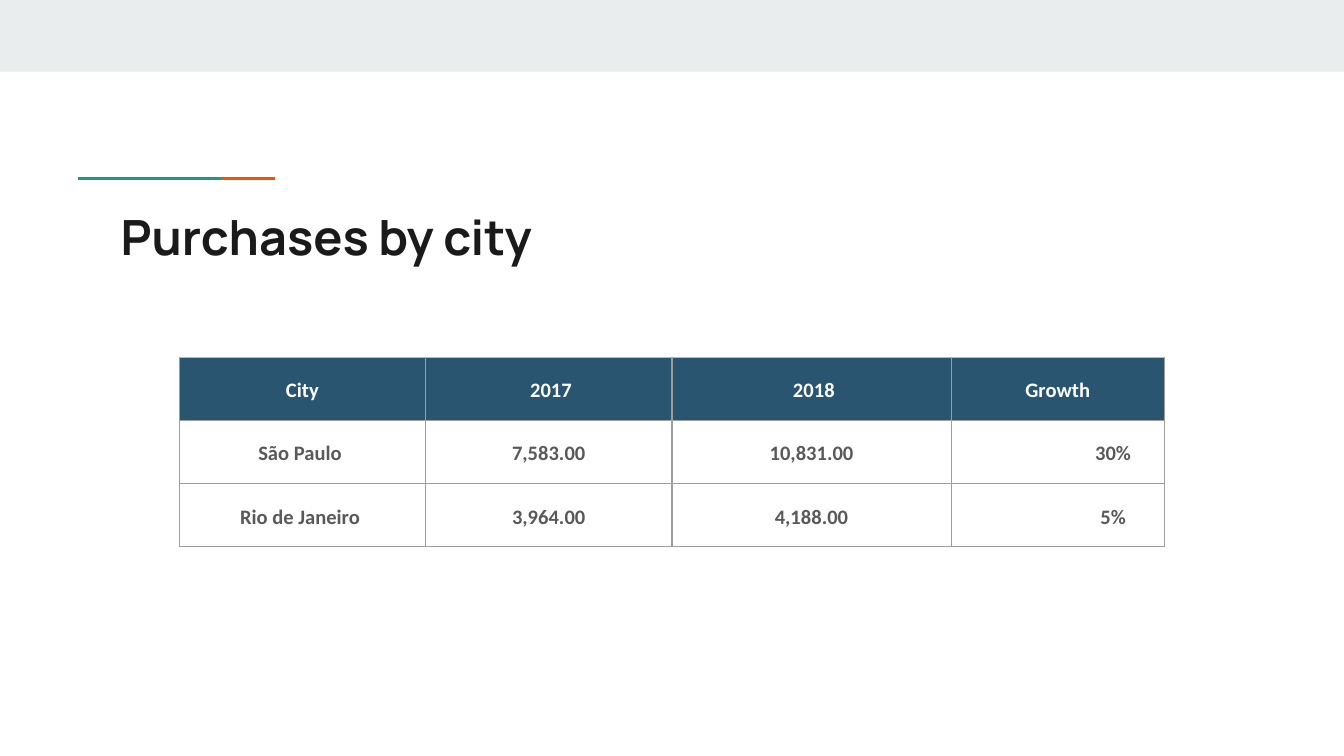
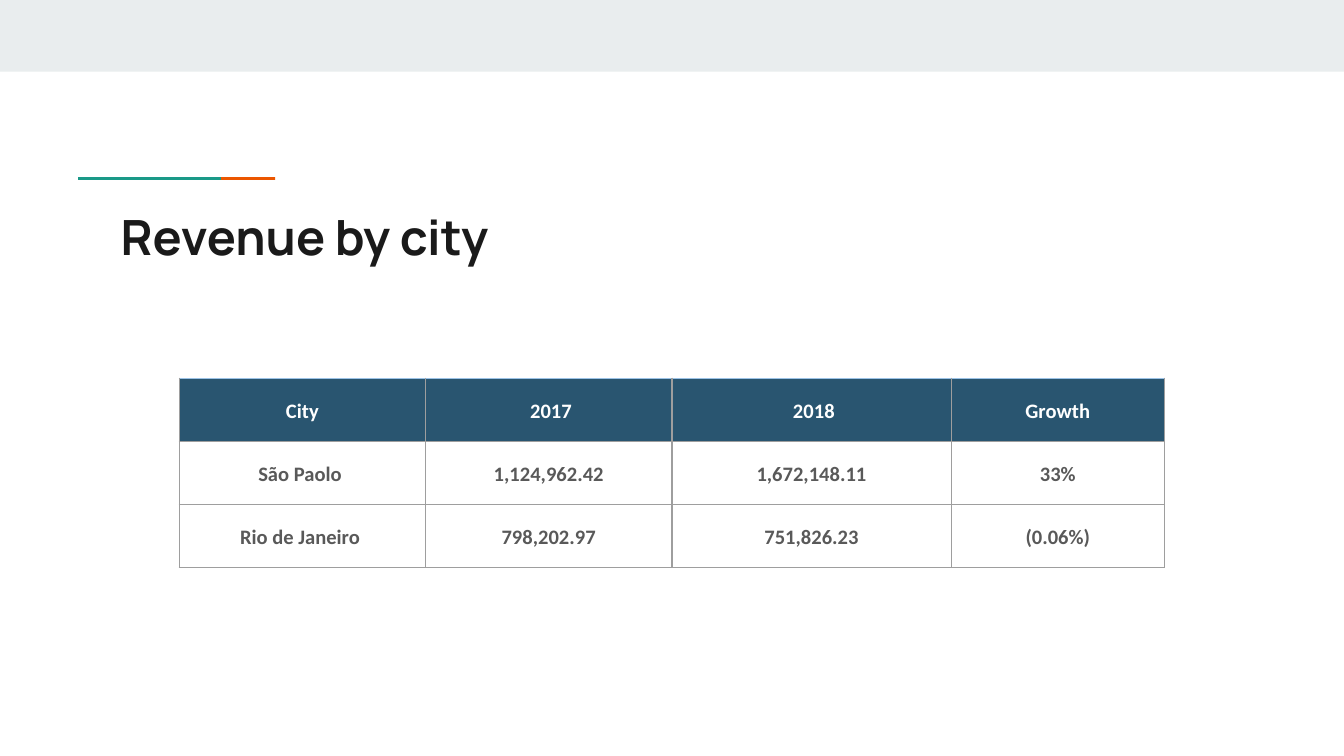
import pptx
import pptx.util
import pptx.dml.color
import pptx.enum.shapes
import pptx.enum.text
import pptx.oxml
import pptx.oxml.ns

Pt = pptx.util.Pt
ALIGN = pptx.enum.text.PP_ALIGN
ANCHOR = pptx.enum.text.MSO_ANCHOR

COLORS = {
    "band": "E9EDEE",
    "teal": "1A9988",
    "orange": "EB5600",
    "title": "1A1A1A",
    "header": "295570",
    "header_text": "FFFFFF",
    "header_edge": "9BC2E6",
    "body_text": "595959",
    "border": "9E9E9E",
}
WIDTH, HEIGHT = 720, 405
INSET = 7.2
COLUMN_WIDTHS = (132, 132, 149.6, 114.3)
ROW_HEIGHT = 33.84
HEADINGS = (" City ", " 2017", " 2018", " Growth ")


def rgb(name):
    return pptx.dml.color.RGBColor.from_string(COLORS[name])


def write(frame, text, *, size, font, color, align=ALIGN.LEFT, spacing=1.0):
    paragraph = frame.paragraphs[0]
    paragraph.alignment = align
    paragraph.line_spacing = spacing
    run = paragraph.add_run()
    run.text = text
    run.font.size = Pt(size)
    run.font.name = font
    run.font.bold = True
    run.font.color.rgb = rgb(color)


def add_bar(slide, box, color, rotation=0):
    bar = slide.shapes.add_shape(
        pptx.enum.shapes.MSO_SHAPE.RECTANGLE, *(Pt(length) for length in box))
    bar.rotation = rotation
    bar.shadow.inherit = False
    bar.fill.solid()
    bar.fill.fore_color.rgb = rgb(color)
    bar.line.fill.background()


def add_accent(slide, box):
    left, top, width, thickness = box
    length = width * 0.725
    upright_top = top + (thickness - length) / 2
    for color, start in (("orange", left + width - length), ("teal", left)):
        upright_left = start + (length - thickness) / 2
        add_bar(slide, (upright_left, upright_top, thickness, length), color, 270)


def add_title(slide, box, text):
    title = slide.shapes.title
    title.left, title.top, title.width, title.height = (Pt(length) for length in box)
    frame = title.text_frame
    frame.word_wrap = True
    frame.auto_size = pptx.enum.text.MSO_AUTO_SIZE.NONE
    frame.vertical_anchor = ANCHOR.TOP
    frame.margin_left = frame.margin_right = Pt(INSET)
    frame.margin_top = frame.margin_bottom = Pt(INSET)
    write(frame, text, size=26, font="Manrope", color="title")


def set_borders(cell, top_color, top_width):
    properties = cell._tc.get_or_add_tcPr()
    edges = (("L", "border", 0.75), ("R", "border", 0.75),
             ("T", top_color, top_width), ("B", "border", 0.75))
    for position, (side, color, width) in enumerate(edges):
        properties.insert(position, pptx.oxml.parse_xml(
            f'<a:ln{side} {pptx.oxml.ns.nsdecls("a")} w="{Pt(width)}">'
            f'<a:solidFill><a:srgbClr val="{COLORS[color]}"/></a:solidFill>'
            f'</a:ln{side}>'))


def fill_cell(cell, text, is_header, left_inset):
    cell.vertical_anchor = ANCHOR.MIDDLE
    cell.margin_left = Pt(left_inset)
    cell.margin_right = cell.margin_top = cell.margin_bottom = Pt(INSET)
    if is_header:
        cell.fill.solid()
        cell.fill.fore_color.rgb = rgb("header")
        set_borders(cell, "header_edge", 0.5)
    else:
        cell.fill.background()
        set_borders(cell, "border", 0.75)
    write(cell.text_frame, text, size=11, font="Calibri",
          color="header_text" if is_header else "body_text",
          align=ALIGN.CENTER, spacing=1.15)


def add_city_table(slide, left, top, cities, growth_inset):
    rows = (HEADINGS, *cities)
    table = slide.shapes.add_table(
        len(rows), len(HEADINGS), Pt(left), Pt(top),
        Pt(sum(COLUMN_WIDTHS)), Pt(ROW_HEIGHT * len(rows))).table
    table.horz_banding = False
    table.first_row = False
    for column, width in zip(table.columns, COLUMN_WIDTHS):
        column.width = Pt(width)
    growth_column = len(HEADINGS) - 1
    for r, values in enumerate(rows):
        table.rows[r].height = Pt(ROW_HEIGHT)
        for c, value in enumerate(values):
            is_growth = r > 0 and c == growth_column
            fill_cell(table.cell(r, c), value, r == 0,
                      growth_inset if is_growth else INSET)


def add_city_slide(deck, title, table_top, cities, growth_inset=INSET):
    slide = deck.slides.add_slide(deck.slide_layouts.get_by_name("Title Only"))
    add_bar(slide, (0, 0, WIDTH, 38.4), "band")
    add_accent(slide, (41.8, 94.8, 105.6, 1.6))
    add_title(slide, (57.4, 103.7, 605.5, 42.5), title)
    add_city_table(slide, 96, table_top, cities, growth_inset)


def main():
    deck = pptx.Presentation()
    deck.slide_width, deck.slide_height = Pt(WIDTH), Pt(HEIGHT)
    add_city_slide(deck, "Purchases by city", 191.4, (
        ("São Paulo ", "7,583.00", "10,831.00", "30%"),
        ("Rio de Janeiro ", "3,964.00", "4,188.00", "5%"),
    ), growth_inset=66.4)
    add_city_slide(deck, "Revenue by city", 202.6, (
        ("São Paolo ", "1,124,962.42", "1,672,148.11", "33%"),
        ("Rio de Janeiro ", "798,202.97", "751,826.23", "(0.06%)"),
    ))
    deck.save("out.pptx")


if __name__ == "__main__":
    main()
